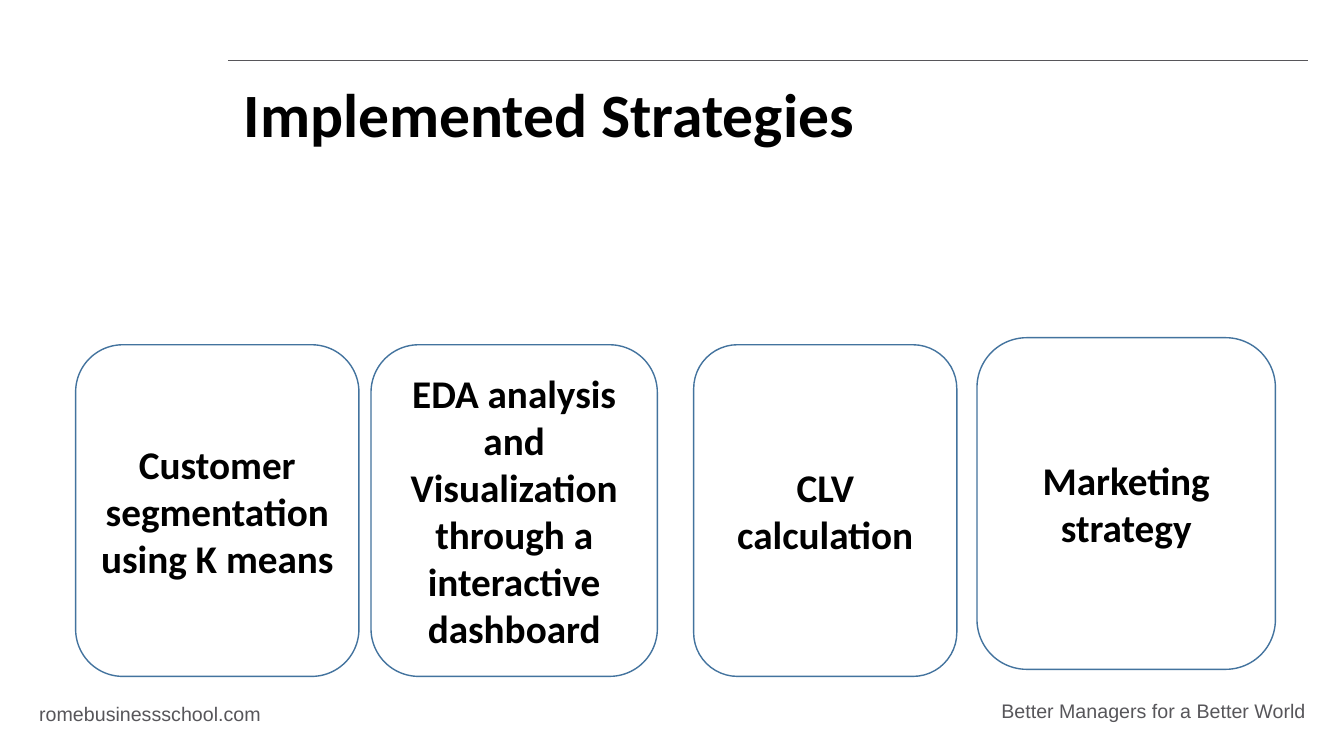
from lxml.etree import SubElement
from pptx import Presentation
from pptx.dml.color import RGBColor
from pptx.enum.shapes import MSO_CONNECTOR, MSO_SHAPE
from pptx.enum.text import MSO_ANCHOR, PP_ALIGN
from pptx.oxml.ns import qn
from pptx.util import Inches, Pt

COLORS = {"paper": "FFFFFF", "ink": "000000", "grey": "57565A", "outline": "43739E"}

CARD_TOP, CARD_HEIGHT = 3.42, 3.29
# Text, left, top, width
STRATEGIES = [
    ("Customer segmentation using K means", 0.75, CARD_TOP, 2.81),
    ("EDA analysis and Visualization through a interactive dashboard",
     3.68, CARD_TOP, 2.84),
    ("CLV calculation", 6.88, CARD_TOP, 2.61),
    ("Marketing strategy", 9.69, 3.35, 2.96),
]


def color(name):
    return RGBColor.from_string(COLORS[name])


def write(frame, text, size, font, ink, bold=False, align=PP_ALIGN.LEFT):
    frame.word_wrap = True
    frame.text = text
    paragraph = frame.paragraphs[0]
    paragraph.alignment = align
    for run in paragraph.runs:
        run.font.size = Pt(size)
        run.font.name = font
        run.font.bold = bold
        run.font.color.rgb = color(ink)


def add_label(slide, box, text, *style, **options):
    label = slide.shapes.add_textbox(*map(Inches, box))
    write(label.text_frame, text, *style, **options)


def add_header(slide, left, top, width):
    # Rule above the title
    rule = slide.shapes.add_connector(
        MSO_CONNECTOR.STRAIGHT, Inches(left), Inches(top),
        Inches(left + width), Inches(top))
    rule.line.color.rgb = color("grey")
    rule.line.width = Pt(1)
    SubElement(rule._element.spPr, qn("a:effectLst"))
    # Title
    add_label(slide, (left + 0.06, top + 0.1, 8.07, 0.84),
              "Implemented Strategies", 44, "Calibri", "ink", bold=True)


def add_strategy(slide, text, left, top, width, height):
    card = slide.shapes.add_shape(
        MSO_SHAPE.FLOWCHART_ALTERNATE_PROCESS,
        *map(Inches, (left, top, width, height)))
    card.shadow.inherit = False
    card.fill.solid()
    card.fill.fore_color.rgb = color("paper")
    card.line.color.rgb = color("outline")
    card.line.width = Pt(1)
    card.text_frame.vertical_anchor = MSO_ANCHOR.MIDDLE
    write(card.text_frame, text, 28, "Calibri", "ink",
          bold=True, align=PP_ALIGN.CENTER)


def add_footer(slide, left, top, width):
    add_label(slide, (left, top + 0.03, 2.71, 0.34),
              "romebusinessschool.com", 14, "Arial", "grey")
    motto_width = 3.82
    add_label(slide, (left + width - motto_width, top, motto_width, 0.34),
              "Better Managers for a Better World", 14, "Arial", "grey",
              align=PP_ALIGN.RIGHT)


def main():
    presentation = Presentation()
    presentation.slide_width = Inches(13.33)
    presentation.slide_height = Inches(7.5)
    slide = presentation.slides.add_slide(presentation.slide_layouts[6])
    slide.background.fill.solid()
    slide.background.fill.fore_color.rgb = color("paper")

    add_footer(slide, 0.29, 6.88, 12.76)
    add_header(slide, 2.26, 0.6, 10.71)
    for text, left, top, width in STRATEGIES:
        add_strategy(slide, text, left, top, width, CARD_HEIGHT)

    presentation.save("out.pptx")


if __name__ == "__main__":
    main()
